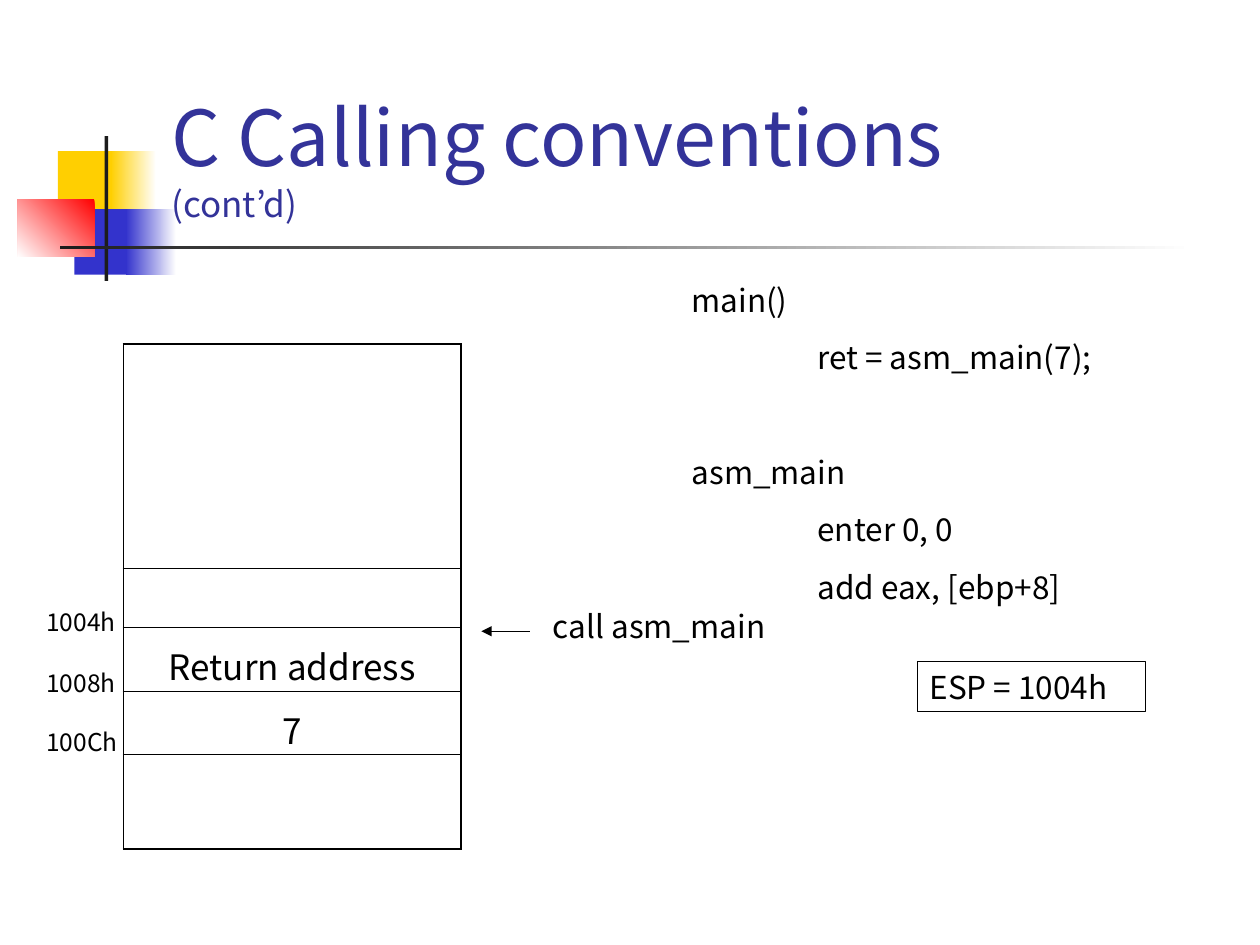
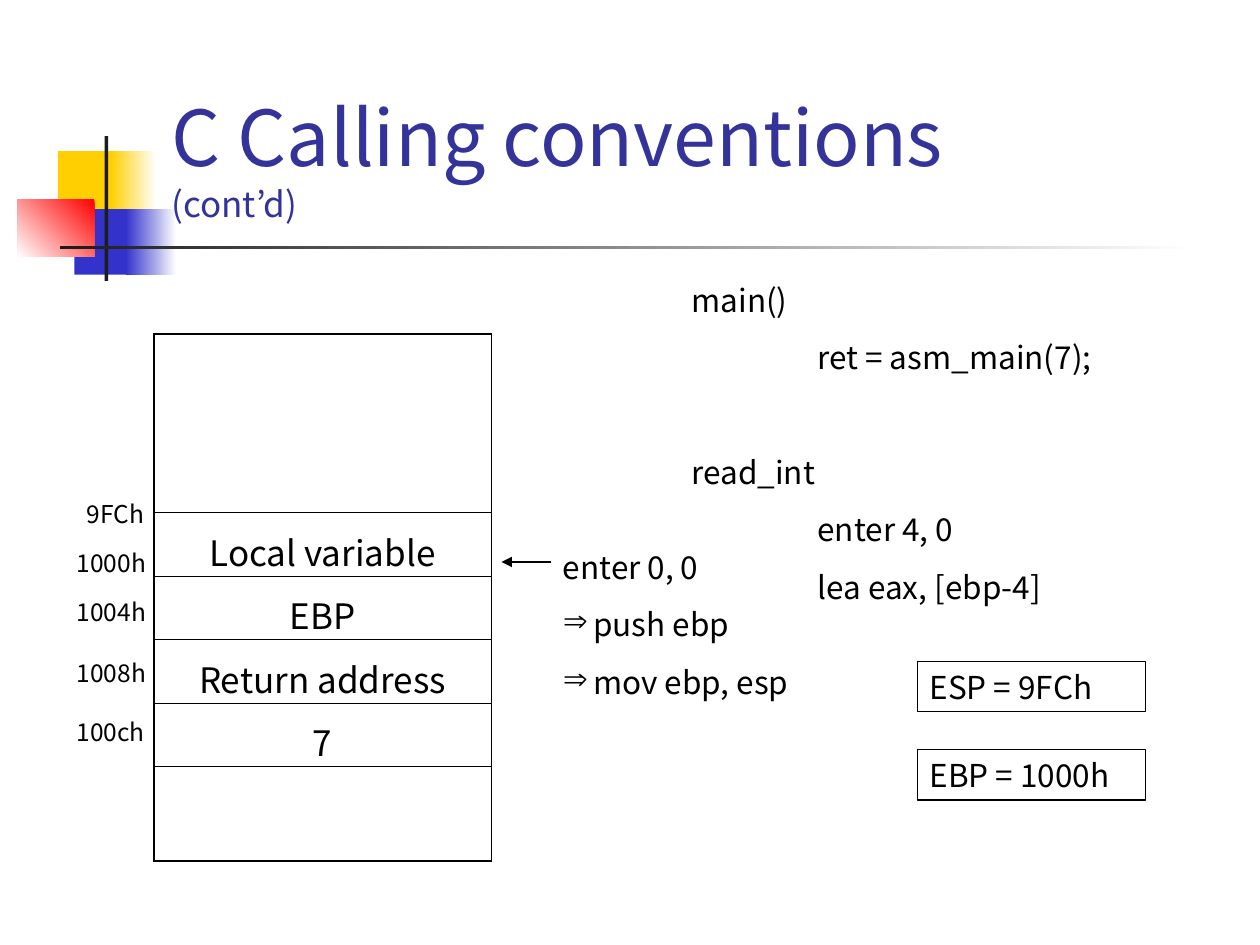
"""Build two slides on C calling conventions with stack diagrams."""
from lxml import etree
from pptx import Presentation
from pptx.dml.color import RGBColor
from pptx.enum.shapes import MSO_CONNECTOR, MSO_SHAPE
from pptx.enum.text import MSO_ANCHOR, MSO_AUTO_SIZE, PP_ALIGN
from pptx.oxml.ns import qn
from pptx.util import Inches, Pt

RECT, LINE = MSO_SHAPE.RECTANGLE, MSO_CONNECTOR.STRAIGHT
LEFT, MID = PP_ALIGN.LEFT, PP_ALIGN.CENTER
TOP, LOW = MSO_ANCHOR.TOP, MSO_ANCHOR.BOTTOM
FIXED = MSO_AUTO_SIZE.NONE
FONT = "Noto Sans CJK KR"
COLORS = {"ink": "000000", "title": "333399", "gold": "FFCF01", "blue": "3333CC",
          "red": "FF0000", "dark": "1C1C1C", "white": "FFFFFF"}
DECOR = [
    ((0.46, 1.2, 0.48, 0.52), ["gold"], 0),
    ((0.88, 1.2, 0.36, 0.52), ["white", "gold"], 180),
    ((0.59, 1.66, 0.46, 0.52), ["blue"], 0),
    ((1, 1.66, 0.4, 0.52), ["white", "blue"], 180),
    ((0.14, 1.58, 0.61, 0.46), ["red", "white"], 225),
    ((0.83, 1.08, 0.03, 1.15), ["dark"], 0),
    ((0.48, 1.95, 9, 0.03), ["white", "dark"], 180),
]


def rgb(name):
    return RGBColor.from_string(COLORS[name])


def place(at):
    return [Inches(n) for n in at]


def write(frame, text, size=18, color="ink", align=LEFT, anchor=TOP,
          gap=11.2, dents=(), skips=(), marks=()):
    """Fill a frame; dents, skips and marks list the lines they format."""
    frame.word_wrap, frame.auto_size = True, FIXED
    frame.vertical_anchor = anchor
    frame.text = text
    for i, para in enumerate(frame.paragraphs):
        props = para._p.get_or_add_pPr()
        if i in dents:
            props.set("marL", str(Inches(1)))
            props.set("indent", "0")
        if i in marks:
            props.set("marL", str(Inches(0.24)))
            props.set("indent", str(-Inches(0.24)))
            tint = etree.SubElement(props, qn("a:buClr"))
            etree.SubElement(tint, qn("a:srgbClr"), val=COLORS[color])
            etree.SubElement(props, qn("a:buChar"), char="⇒")
        para.alignment = align
        if i:
            para.space_before = Pt(44 if i in skips else gap)
        para.font.size = Pt(size)
        for run in para.runs:
            run.font.name, run.font.size = FONT, Pt(size)
            run.font.color.rgb = rgb(color)


class Deck:
    """Hold the style and the current slide."""

    def __init__(self):
        self.prs = Presentation()
        self.prs.slide_width, self.prs.slide_height = Inches(10), Inches(7.5)
        self.base = self.prs.slide_layouts[5]
        self.slide = None

    def start(self, title, sub):
        first = self.slide is None
        self.slide = self.prs.slides.add_slide(self.base)
        if first:
            self.adorn()
        head = self.slide.shapes.title
        head.left, head.top, head.width, head.height = place((1.26, 0.23, 8.52, 1.6))
        write(head.text_frame, f"{title}\v{sub}", size=44, color="title", anchor=LOW)
        head.text_frame.paragraphs[0].runs[1].font.size = Pt(20)

    def adorn(self):
        """Put the shared ornament on the layout."""
        for i, (at, tones, angle) in enumerate(DECOR):
            node = self.block(at, tones, angle).element
            node.nvSpPr.cNvPr.set("id", str(20 + i))
            self.base.shapes.element.append(node)

    def block(self, at, tones=(), angle=0):
        shape = self.slide.shapes.add_shape(RECT, *place(at))
        shape.shadow.inherit = False
        shape.line.fill.background()
        if len(tones) > 1:
            shape.fill.gradient()
            shape.fill.gradient_angle = angle
            for stop, tone in zip(shape.fill.gradient_stops, tones):
                stop.color.rgb = rgb(tone)
        elif tones:
            shape.fill.solid()
            shape.fill.fore_color.rgb = rgb(tones[0])
        else:
            shape.fill.background()
        return shape

    def text(self, at, text, **style):
        box = self.slide.shapes.add_textbox(*place(at))
        write(box.text_frame, text, **style)

    def code(self, text):
        self.text((5.39, 2.18, 4.25, 2.68), text, dents=(1, 3, 4), skips=(2,))

    def state(self, top, text):
        box = self.block((7.28, top, 1.81, 0.4))
        box.line.color.rgb, box.line.width = rgb("ink"), Pt(0.75)
        write(box.text_frame, text)

    def stack(self, left, top, rows):
        high = sum(row[0] for row in rows)
        frame = self.slide.shapes.add_table(
            len(rows), 1, *place((left, top, 2.68, high)))
        table = frame.table
        table.first_row = table.horz_banding = False
        last = len(rows) - 1
        for i, (size, text) in enumerate(rows):
            table.rows[i].height = Inches(size)
            cell = table.cell(i, 0)
            cell.margin_top, cell.margin_bottom = Inches(0.1), 0
            write(cell.text_frame, text, size=20, align=MID)
            self.edge(cell, L=1.08, R=1.08, T=0.45 if i else 1.08,
                      B=0.45 if i < last else 1.08)
            cell.fill.background()

    def edge(self, cell, **widths):
        props = cell._tc.get_or_add_tcPr()
        for side, width in widths.items():
            line = etree.SubElement(props, qn(f"a:ln{side}"), w=str(Pt(width)))
            fill = etree.SubElement(line, qn("a:solidFill"))
            etree.SubElement(fill, qn("a:srgbClr"), val=COLORS["ink"])

    def labels(self, left, marks):
        for top, text in marks:
            self.text((left, top, 0.94, 0.34), text, size=14)

    def arrow(self, left, top):
        line = self.slide.shapes.add_connector(
            LINE, *place((left, top, left + 0.39, top)))
        line.line.color.rgb, line.line.width = rgb("ink"), Pt(0.75)
        props = line.element.spPr
        etree.SubElement(props.find(qn("a:ln")), qn("a:headEnd"), type="triangle")
        etree.SubElement(props, qn("a:effectLst"))


def main():
    deck = Deck()
    title = "C Calling conventions", "(cont’d)"

    deck.start(*title)
    deck.code("main()\nret = asm_main(7);\nasm_main\nenter 0, 0\nadd eax, [ebp+8]")
    deck.stack(0.98, 2.73, [(1.78, ""), (0.47, ""), (0.47, "Return address"),
                            (0.47, "7"), (0.75, "")])
    deck.arrow(3.82, 5.01)
    deck.text((4.29, 4.77, 2.68, 0.4), "call asm_main")
    deck.labels(0.27, [(4.77, "1004h"), (5.25, "1008h"), (5.72, "100Ch")])
    deck.state(5.25, "ESP = 1004h")

    deck.start(*title)
    deck.code("main()\nret = asm_main(7);\nread_int\nenter 4, 0\nlea eax, [ebp-4]")
    deck.stack(1.22, 2.65, [(1.42, ""), (0.44, "Local variable"), (0.47, "EBP"),
                            (0.47, "Return address"), (0.47, "7"), (0.75, "")])
    deck.arrow(3.98, 4.46)
    deck.text((4.37, 4.3, 2.13, 1.32), "enter 0, 0\npush ebp\nmov ebp, esp",
              marks=(1, 2))
    deck.labels(0.59, [(3.91, "9FCh")])
    deck.labels(0.51, [(4.3, "1000h"), (4.69, "1004h"), (5.17, "1008h"),
                       (5.64, "100ch")])
    deck.state(5.25, "ESP = 9FCh")
    deck.state(5.95, "EBP = 1000h")

    deck.prs.save("out.pptx")


if __name__ == "__main__":
    main()
